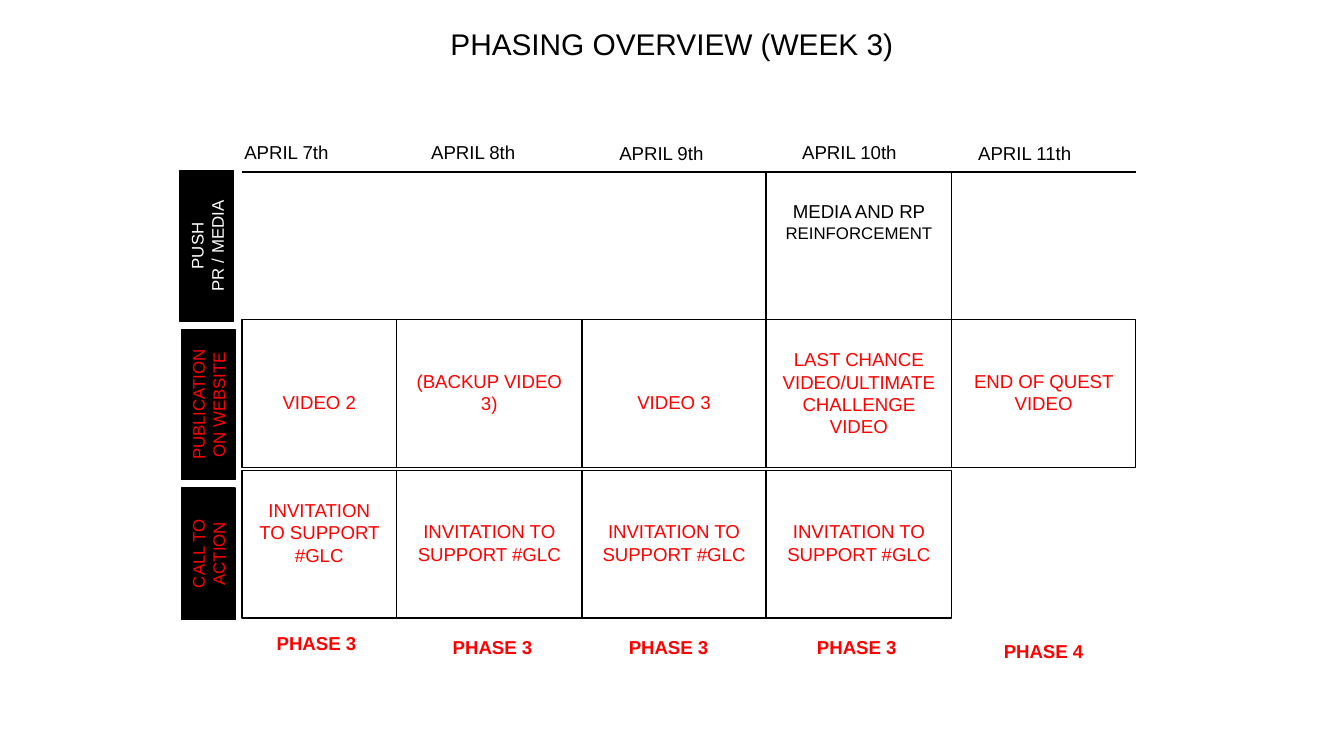
"""Build the week 3 phasing overview slide."""
from lxml.etree import SubElement
from pptx import Presentation
from pptx.dml.color import RGBColor as RGB
from pptx.enum.shapes import MSO_CONNECTOR as LINK, MSO_SHAPE as SHAPE
from pptx.enum.text import MSO_ANCHOR as ANCHOR, PP_ALIGN as ALIGN
from pptx.oxml.ns import qn
from pptx.util import Inches, Pt

HUES = {"black": "000000", "white": "FFFFFF", "red": "FF0000"}
FONT = "Arial"
TITLE = "PHASING OVERVIEW (WEEK 3)"
CALL = "INVITATION TO SUPPORT #GLC"
DATES = [
    ("APRIL 7th", 1.72, 1.0, 0.83),
    ("APRIL 8th", 3.11, 1.0, 0.83),
    ("APRIL 9th", 4.51, 1.01, 0.83),
    ("APRIL 10th", 5.87, 1.0, 0.91),
    ("APRIL 11th", 7.18, 1.01, 0.91),
]
PHASES = [
    ("PHASE 3", 1.96, 4.65, 0.79),
    ("PHASE 3", 3.27, 4.68, 0.79),
    ("PHASE 3", 4.58, 4.68, 0.79),
    ("PHASE 3", 5.98, 4.68, 0.79),
    ("PHASE 4", 7.37, 4.71, 0.79),
]
LABELS = [
    (["PUSH", "PR / MEDIA"], "white", 0.98, 1.63, 1.12),
    (["PUBLICATION", "ON WEBSITE"], "red", 0.99, 2.81, 1.12),
    (["CALL TO ACTION"], "red", 1.06, 3.92, 0.98),
]
EDGES = [1.8, 2.95, 4.33, 5.7, 7.08, 8.45]
ROWS = [1.28, 2.38, 3.5]
HIGH, STEP = 1.1, 0.16
CELLS = [
    (0, 3, 1, [("MEDIA AND RP ", 10), ("REINFORCEMENT", 9)], "black"),
    (1, 0, 3, [("VIDEO 2", 10)], "red"),
    (1, 1, 2, [("(BACKUP VIDEO 3)", 10)], "red"),
    (1, 2, 3, [("VIDEO 3", 10)], "red"),
    (1, 3, 1, [("LAST CHANCE VIDEO/ULTIMATE CHALLENGE VIDEO", 10)], "red"),
    (1, 4, 2, [("END OF QUEST VIDEO", 10)], "red"),
    (2, 0, 1, [(CALL, 10)], "red"),
    (2, 1, 2, [(CALL, 10)], "red"),
    (2, 2, 2, [(CALL, 10)], "red"),
    (2, 3, 2, [(CALL, 10)], "red"),
]


def hue(name):
    return RGB.from_string(HUES[name])


def write(shape, paras, color, align, bold=False, wrap=True, top=0.05):
    frame = shape.text_frame
    frame.word_wrap = wrap
    frame.vertical_anchor = ANCHOR.TOP
    frame.margin_left = frame.margin_right = Inches(0.1)
    frame.margin_top, frame.margin_bottom = Inches(top), Inches(0.05)
    for i, runs in enumerate(paras):
        para = frame.add_paragraph() if i else frame.paragraphs[0]
        para.alignment = align
        for text, size in runs:
            run = para.add_run()
            run.text = text
            font = run.font
            font.name, font.size, font.bold = FONT, Pt(size), bold
            font.color.rgb = hue(color)


def box(slide, x, y, w, h, fill=None):
    shape = slide.shapes.add_shape(SHAPE.RECTANGLE, *map(Inches, (x, y, w, h)))
    shape.shadow.inherit = False
    if fill:
        shape.fill.solid()
        shape.fill.fore_color.rgb = hue(fill)
    else:
        shape.fill.background()
    shape.line.color.rgb = hue("black")
    shape.line.width = Pt(0.75)
    return shape


def tags(slide, items, color, bold):
    for text, x, y, w in items:
        tag = slide.shapes.add_textbox(*map(Inches, (x, y, w, 0.27)))
        write(tag, [[(text, 10)]], color, ALIGN.LEFT, bold, wrap=False)


def main():
    deck = Presentation()
    deck.slide_width = Inches(10)
    deck.slide_height = deck.slide_width * 9 // 16
    slide = deck.slides.add_slide(deck.slide_layouts[5])

    title = slide.shapes.title
    title.left, title.top = Inches(0.5), Inches(0.14)
    title.width, title.height = Inches(9), Inches(0.62)
    write(title, [[(TITLE, 16)]], "black", ALIGN.CENTER)

    ends = map(Inches, (EDGES[0], ROWS[0], EDGES[-1], ROWS[0]))
    rule = slide.shapes.add_connector(LINK.STRAIGHT, *ends)
    rule.line.color.rgb = hue("black")
    rule.line.width = Pt(1)
    SubElement(rule._element.spPr, qn("a:effectLst"))

    tags(slide, DATES, "black", False)
    for lines, color, x, y, w in LABELS:
        label = box(slide, x, y, w, 0.4, "black")
        label.rotation = 270
        write(label, [[(line, 9)] for line in lines], color, ALIGN.CENTER)
    for row, col, drop, runs, color in CELLS:
        x, end = EDGES[col:col + 2]
        cell = box(slide, x, ROWS[row], end - x, HIGH)
        write(cell, [runs], color, ALIGN.CENTER, top=0.05 + drop * STEP)
    tags(slide, PHASES, "red", True)
    deck.save("out.pptx")


if __name__ == "__main__":
    main()
